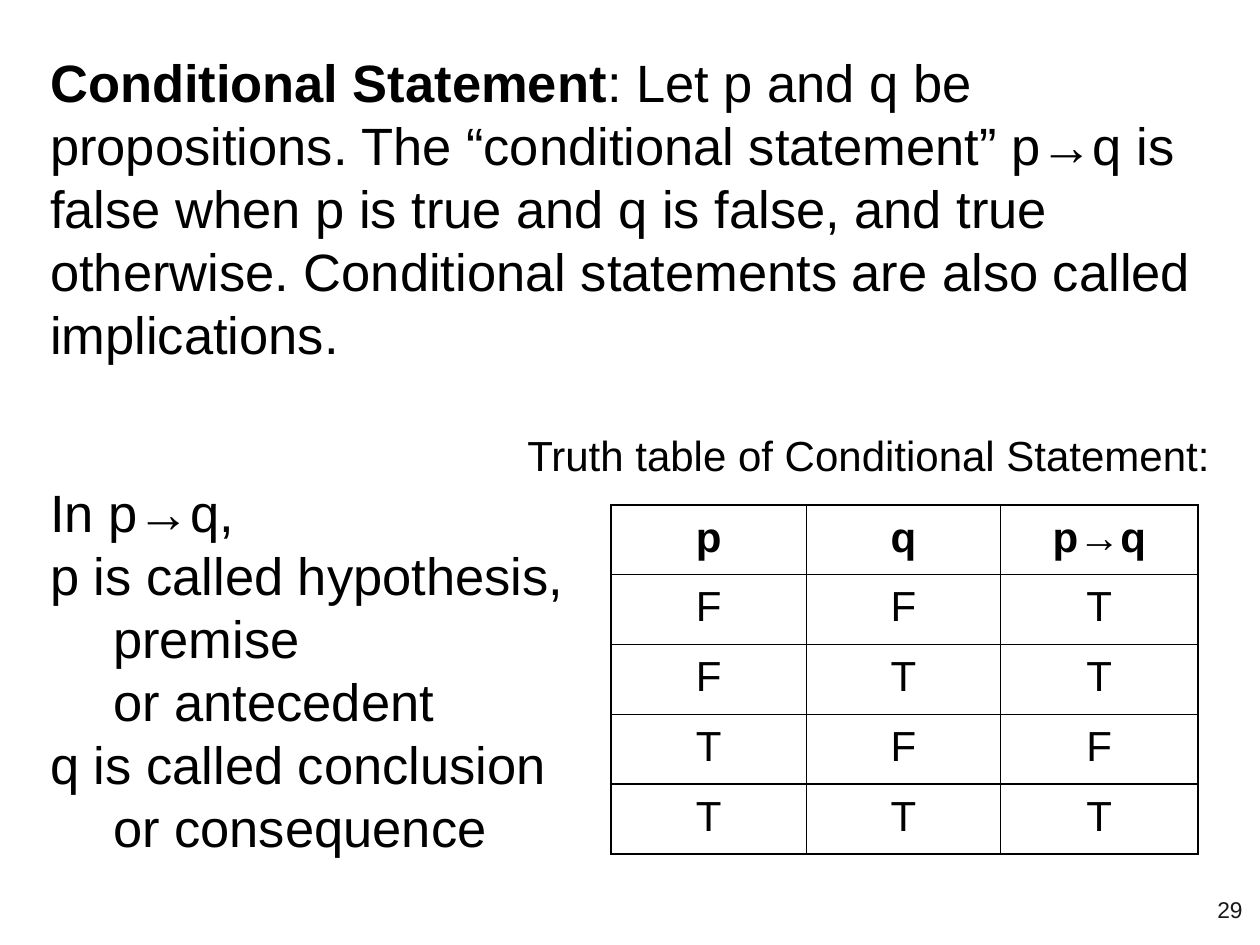
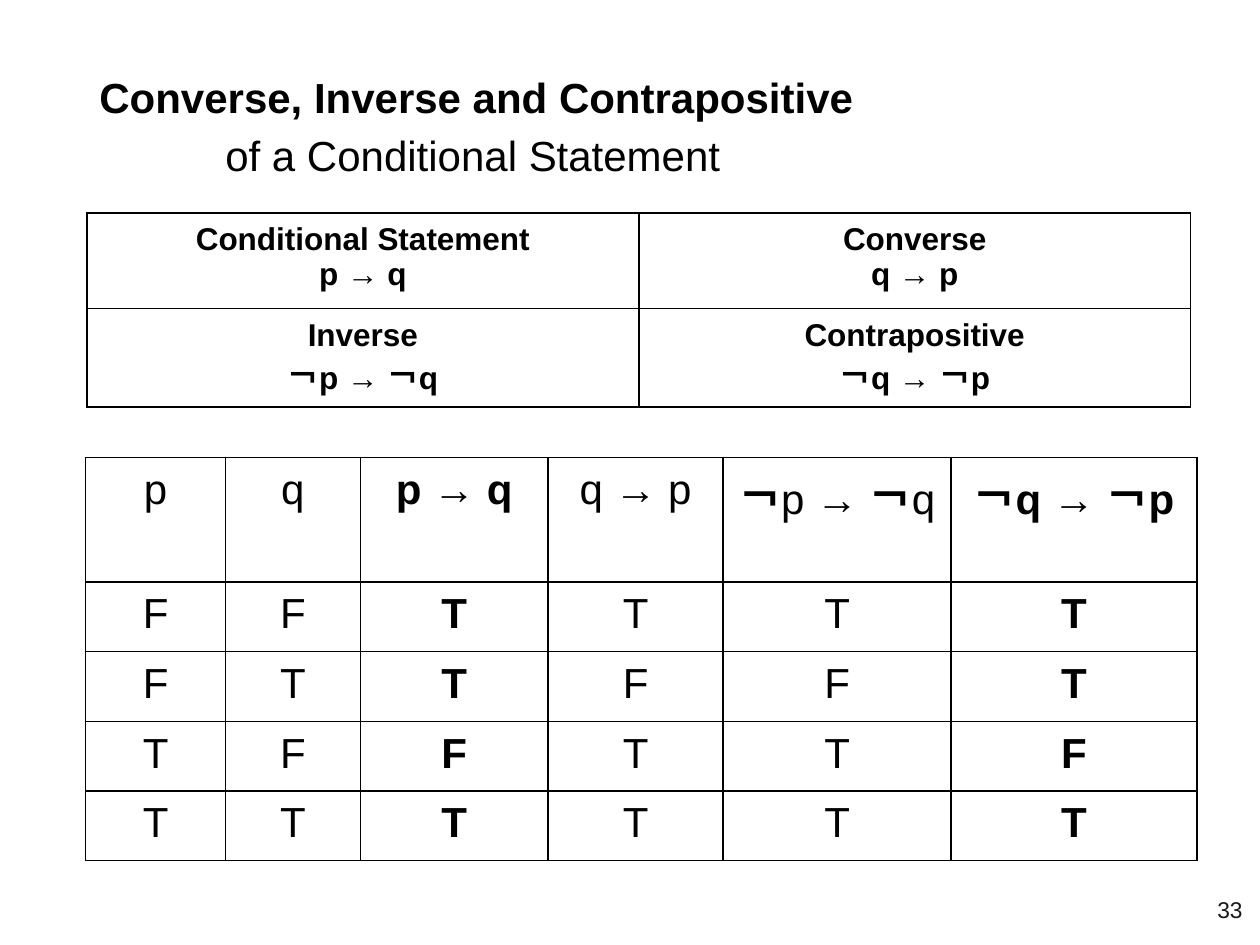
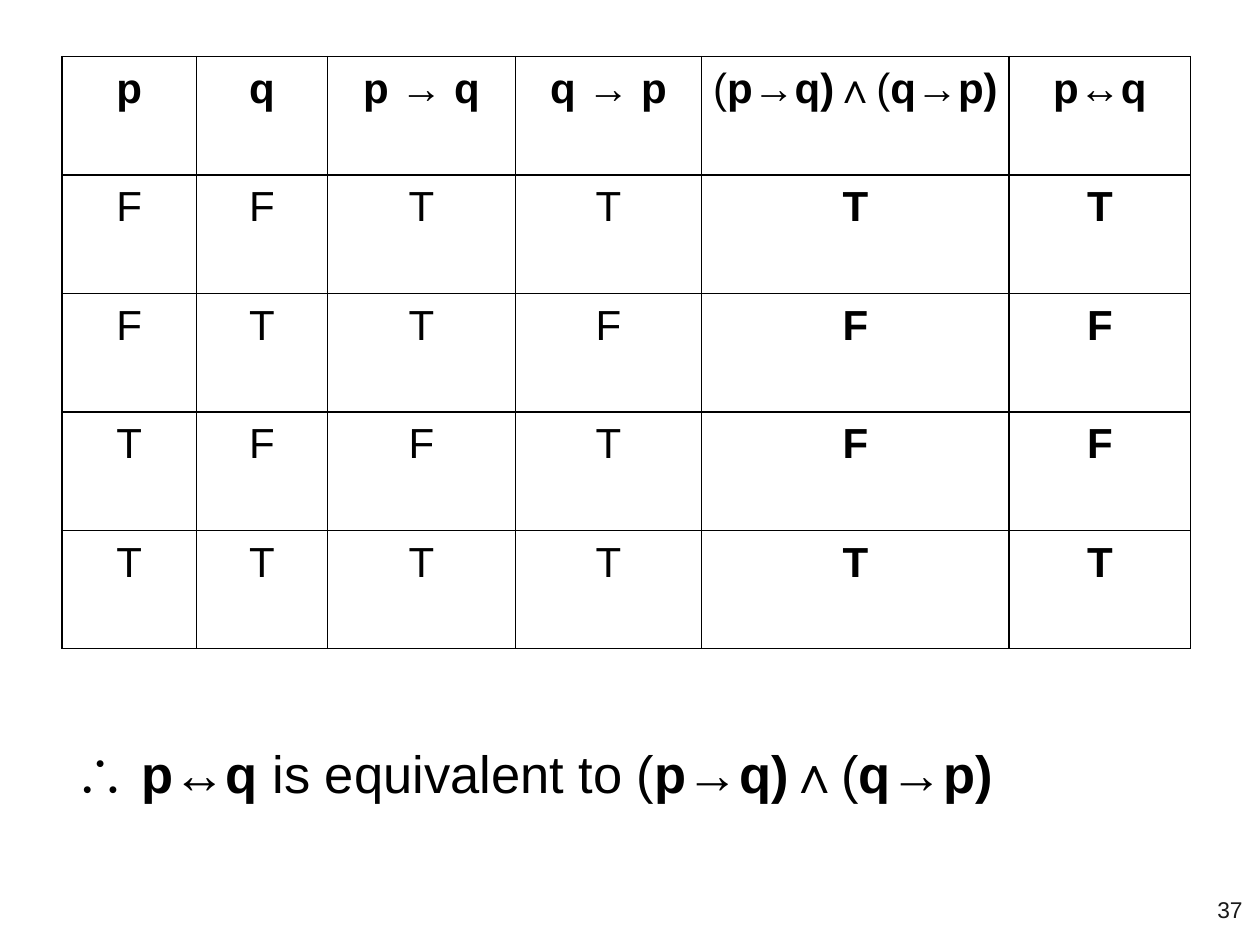
from dataclasses import dataclass
from itertools import product

from lxml import etree
from pptx import Presentation
from pptx.dml.color import RGBColor
from pptx.enum.text import MSO_ANCHOR, PP_ALIGN
from pptx.oxml.ns import qn
from pptx.util import Inches, Pt

LEFT, CENTER, RIGHT = PP_ALIGN.LEFT, PP_ALIGN.CENTER, PP_ALIGN.RIGHT
TOP, MIDDLE = MSO_ANCHOR.TOP, MSO_ANCHOR.MIDDLE


@dataclass(frozen=True)
class Theme:
    font: str = "Arial"
    ink: str = "000000"
    page_ink: str = "191919"
    body: int = 30
    heading: int = 24
    form: int = 18
    page: int = 13
    loose: float = 1.15
    border: float = 1
    cell_margin: float = 0.07
    box_margin: float = 0.1


@dataclass(frozen=True)
class Para:
    """A paragraph; parts between ** marks are bold."""
    text: str
    size: int
    align: PP_ALIGN = LEFT
    indent: float = 0
    spacing: float = 1.0
    before: float = 0


class Deck:
    def __init__(self, theme):
        self.theme = theme
        self.prs = Presentation()
        self.prs.slide_width, self.prs.slide_height = Inches(10), Inches(7.5)
        self.slide = None

    def new_slide(self, number):
        self.slide = self.prs.slides.add_slide(self.prs.slide_layouts[6])
        page = Para(str(number), self.theme.page, RIGHT)
        self.text(9.36, 6.93, 0.6, 0.57, [page], MIDDLE, self.theme.page_ink)

    def fill_frame(self, frame, paras, color):
        for index, para in enumerate(paras):
            line = frame.add_paragraph() if index else frame.paragraphs[0]
            line.alignment = para.align
            if para.spacing != 1:
                line.line_spacing = para.spacing
            if para.before:
                line.space_before = Pt(para.before)
            if para.indent:
                props = line._p.get_or_add_pPr()
                props.set("marL", "0")
                props.set("indent", str(Inches(para.indent)))
            for position, part in enumerate(para.text.split("**")):
                if not part:
                    continue
                run = line.add_run()
                run.text = part
                run.font.name = self.theme.font
                run.font.size = Pt(para.size)
                run.font.bold = position % 2 == 1
                run.font.color.rgb = RGBColor.from_string(color)

    def text(self, left, top, width, height, paras, anchor=TOP, color=None):
        box = self.slide.shapes.add_textbox(
            Inches(left), Inches(top), Inches(width), Inches(height))
        frame = box.text_frame
        frame.word_wrap = True
        frame.vertical_anchor = anchor
        margin = Inches(self.theme.box_margin)
        frame.margin_left = frame.margin_right = margin
        frame.margin_top = frame.margin_bottom = margin
        self.fill_frame(frame, paras, color or self.theme.ink)

    def table(self, left, top, widths, header_height, body_height, rows, size):
        """Each cell is a list of centred lines; body rows share a height."""
        table = self.slide.shapes.add_table(
            len(rows), len(widths), Inches(left), Inches(top),
            Inches(sum(widths)), Inches(header_height + body_height)).table
        table.first_row = table.horz_banding = False
        for column, width in zip(table.columns, widths):
            column.width = Inches(width)
        margin = Inches(self.theme.cell_margin)
        for r, row in enumerate(rows):
            table.rows[r].height = Inches(
                body_height / (len(rows) - 1) if r else header_height)
            for c, lines in enumerate(row):
                cell = table.cell(r, c)
                cell.margin_left = cell.margin_right = margin
                cell.margin_top = cell.margin_bottom = margin
                paras = [Para(line, size, CENTER) for line in lines]
                self.fill_frame(cell.text_frame, paras, self.theme.ink)
                self.outline(cell)
                cell.fill.background()

    def outline(self, cell):
        props = cell._tc.get_or_add_tcPr()
        for side in ("lnL", "lnR", "lnT", "lnB"):
            line = etree.SubElement(props, qn(f"a:{side}"),
                                    w=str(Pt(self.theme.border)))
            fill = etree.SubElement(line, qn("a:solidFill"))
            etree.SubElement(fill, qn("a:srgbClr"), val=self.theme.ink)

    def truth_table(self, left, top, header_height, body_height, columns):
        """Each column is (width, header, rule, bold values)."""
        rows = [[[header] for _, header, _, _ in columns]]
        for p, q in product((False, True), repeat=2):
            row = []
            for _, _, rule, bold in columns:
                value = "T" if rule(p, q) else "F"
                row.append([f"**{value}**" if bold else value])
            rows.append(row)
        widths = [column[0] for column in columns]
        self.table(left, top, widths, header_height, body_height, rows,
                   self.theme.heading)


# Logical rules behind the truth tables
def first(p, q):
    return p


def second(p, q):
    return q


def conditional(p, q):
    return not p or q


def converse(p, q):
    return not q or p


def biconditional(p, q):
    return p == q


def conditional_slide(deck):
    deck.new_slide(29)
    body, heading = deck.theme.body, deck.theme.heading
    definition = (
        "**Conditional Statement**: Let p and q be propositions. The "
        "“conditional statement” p→q is false when p is true and q is false, "
        "and true otherwise. Conditional statements are also called "
        "implications.")
    terms = [("In p→q,", 0), ("p is called hypothesis,", 0),
             ("premise", 0.5), ("or antecedent", 0.5),
             ("q is called conclusion", 0), ("or consequence", 0.5)]
    caption = Para("Truth table of Conditional Statement:", heading, RIGHT,
                   before=36.5)
    deck.text(0.3, 0.3, 9.4, 6.48, [
        Para(definition, body), caption,
        *(Para(term, body, indent=indent) for term, indent in terms)])
    deck.truth_table(4.85, 4.01, 0.55, 2.22, [
        (1.55, "**p**", first, False),
        (1.54, "**q**", second, False),
        (1.57, "**p**→**q**", conditional, False)])


def related_forms_slide(deck):
    deck.new_slide(33)
    heading, loose = deck.theme.heading, deck.theme.loose
    deck.text(0.69, 0.38, 7.45, 1.18, [
        Para("**Converse, Inverse and Contrapositive**", heading,
             spacing=loose),
        Para("of a Conditional Statement", heading, indent=1, spacing=loose),
    ], MIDDLE)
    # The four forms
    forms = [[("Conditional Statement", "p → q"), ("Converse", "q → p")],
             [("Inverse", "￢p → ￢q"), ("Contrapositive", "￢q → ￢p")]]
    cells = [[[f"**{line}**" for line in form] for form in row]
             for row in forms]
    deck.table(0.69, 1.69, [4.38, 4.38], 0.76, 0.78, cells, deck.theme.form)
    # Their truth values
    deck.truth_table(0.68, 3.63, 0.99, 2.21, [
        (1.11, "p", first, False),
        (1.07, "q", second, False),
        (1.49, "**p → q**", conditional, True),
        (1.39, "q **→** p", converse, False),
        (1.81, "**￢**p **→ ￢**q", converse, False),
        (1.95, "**￢q → ￢p**", conditional, True)])


def biconditional_slide(deck):
    deck.new_slide(37)
    both_ways = "(**p→q)∧**(**q→p)**"
    deck.truth_table(0.49, 0.45, 0.94, 3.76, [
        (1.07, "**p**", first, False),
        (1.04, "**q**", second, False),
        (1.49, "**p → q**", conditional, False),
        (1.48, "**q → p**", converse, False),
        (2.44, both_ways, biconditional, True),
        (1.44, "**p↔q**", biconditional, True)])
    deck.text(0.49, 5.5, 8.96, 1.18, [
        Para(f"**∴ p↔q** is equivalent to {both_ways}", deck.theme.body,
             spacing=deck.theme.loose)], MIDDLE)


def main():
    deck = Deck(Theme())
    conditional_slide(deck)
    related_forms_slide(deck)
    biconditional_slide(deck)
    deck.prs.save("out.pptx")


if __name__ == "__main__":
    main()
